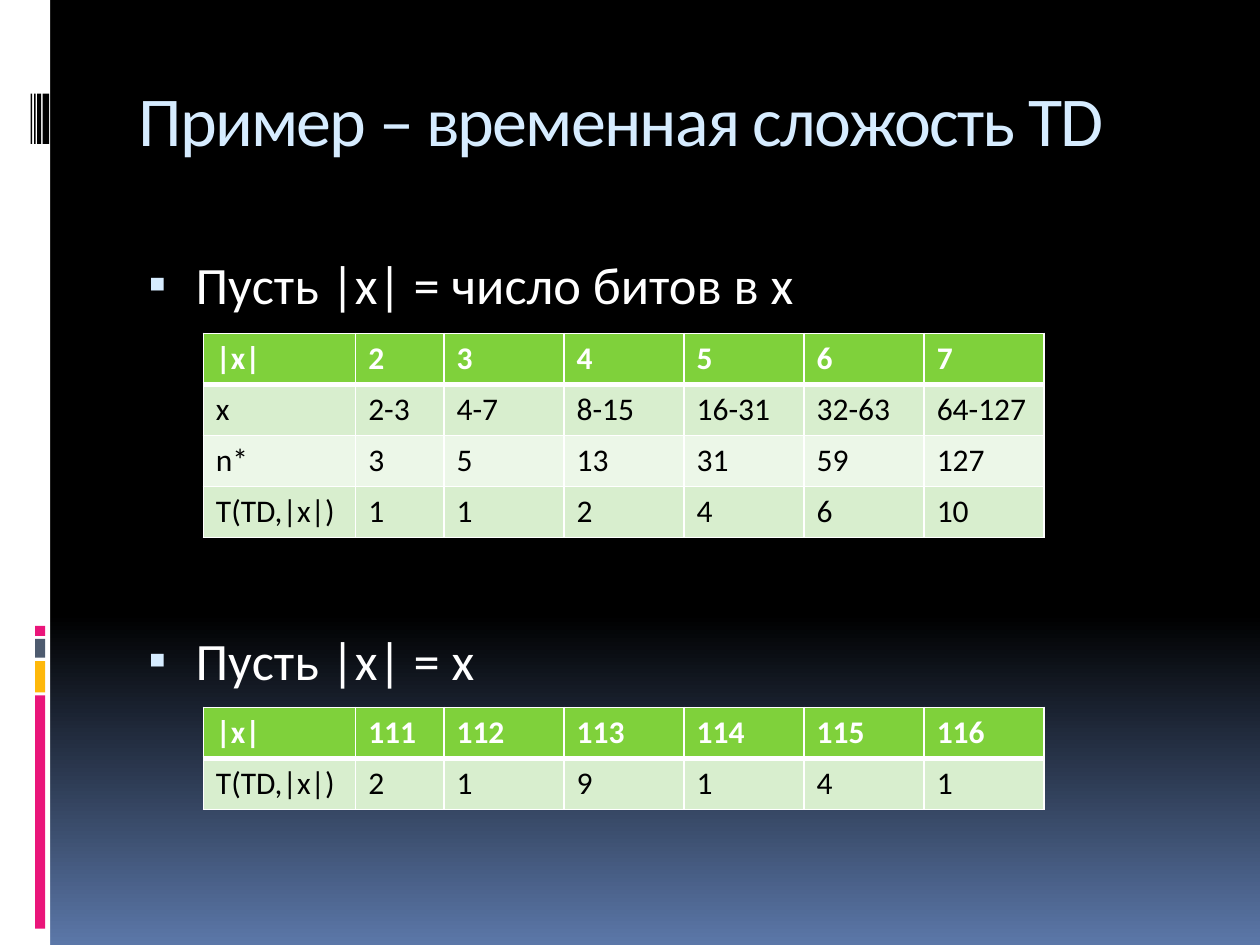
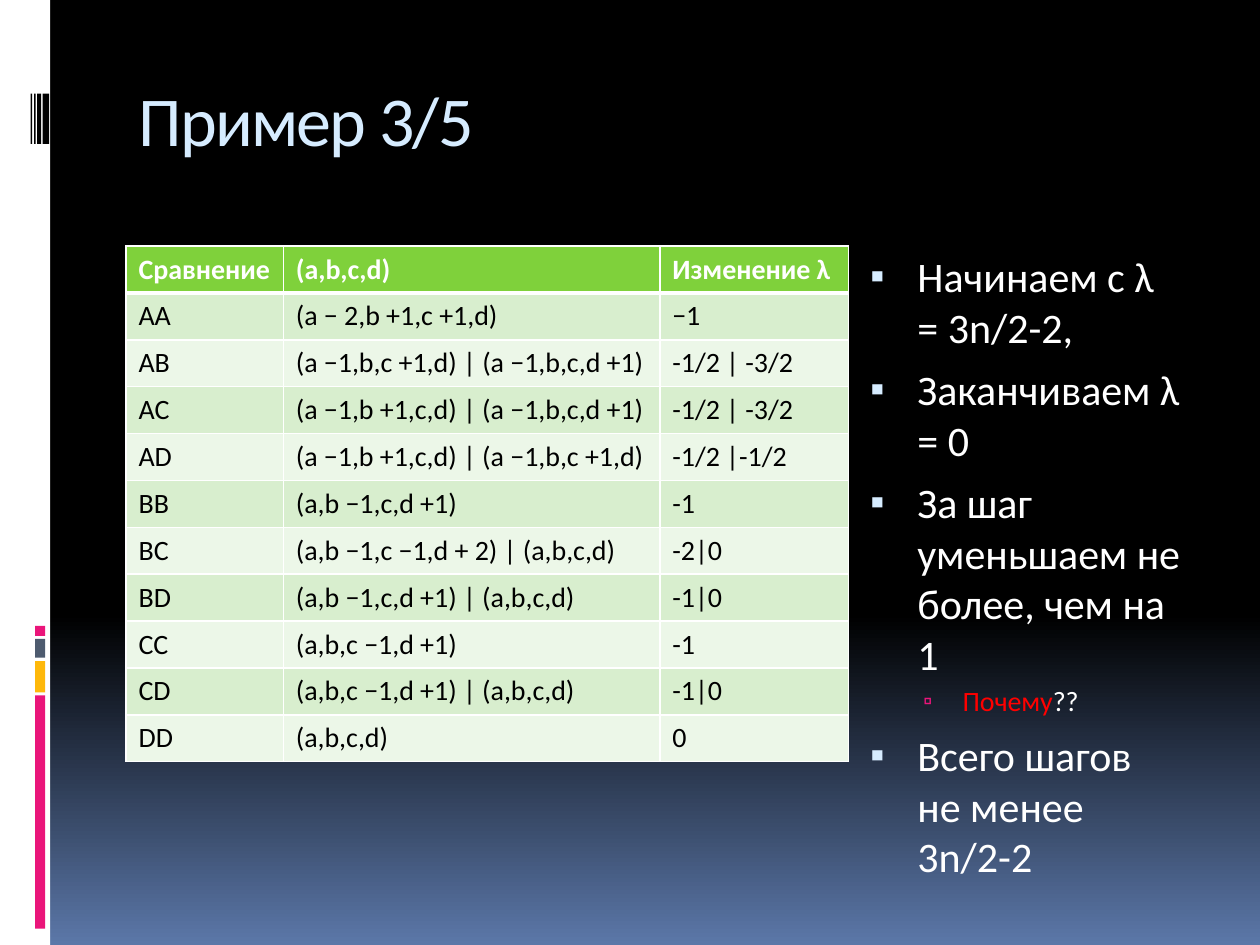
from copy import deepcopy

from lxml import etree
from pptx import Presentation
from pptx.dml.color import RGBColor
from pptx.enum.shapes import MSO_SHAPE
from pptx.enum.text import MSO_ANCHOR, MSO_AUTO_SIZE, PP_ALIGN
from pptx.oxml.ns import qn
from pptx.util import Cm, Pt

RECT = MSO_SHAPE.RECTANGLE
TOP = MSO_ANCHOR.TOP
LEFT = PP_ALIGN.LEFT
NO_FIT = MSO_AUTO_SIZE.NONE


class Theme:
    font = "Calibri"
    black, white, red = "000000", "FFFFFF", "FF0000"
    dusk, sky, pink = "5B77A8", "D6ECFF", "EA157A"
    gold, slate = "FEB80A", "4E5B6F"
    head, bands = "7FD13B", ("D8EECE", "ECF7E8")
    title, large, medium, cell, small = 40, 30, 24, 18, 16
    thin, thick = 1, 3


# Side strip: left, top, width, height in cm, colour
STRIP = [
    (0, 0, 1.01, 19.05, Theme.white),
    (0.71, 14.02, 0.2, 4.7, Theme.pink),
    (0.71, 13.33, 0.2, 0.63, Theme.gold),
    (0.71, 12.88, 0.2, 0.38, Theme.slate),
    (0.71, 12.62, 0.2, 0.2, Theme.pink),
] + [(x, 1.89, w, 1.01, Theme.black)
     for x, w in ((0.86, 0.13), (0.75, 0.08), (0.69, 0.03), (0.62, 0.03))]

# Bullet levels: indent and hang in cm, mark, colour, mark size in %
LEVELS = [
    (1.15, 0.95, "▪", Theme.sky, 95),
    (2.06, 0.79, "▫", Theme.pink, 90),
]

TITLE_BOX = (2.54, 1.42, 21.59, 2.54)
WIDE = [3.07, 1.78] + [2.42] * 5

# A list item: level, space before in pt, size, runs of (text, colour)
SLIDES = [
    {
        "title": ["Пример ", "– ", "временная сложость ", "TD"],
        "box": (2.54, 4.95, 21.59, 12.7),
        "items": [
            (0, 7, Theme.large, [("Пусть |x| = число битов в x", Theme.white)]),
            (0, 179, Theme.large, [("Пусть |x| = x", Theme.white)]),
        ],
        "tables": [
            {"at": (4.1, 6.72), "cols": WIDE, "row": 1.03, "size": Theme.cell,
             "rows": [
                 ["|x|", "2", "3", "4", "5", "6", "7"],
                 ["x", "2-3", "4-7", "8-15", "16-31", "32-63", "64-127"],
                 ["n*", "3", "5", "13", "31", "59", "127"],
                 ["T(TD,|x|)", "1", "1", "2", "4", "6", "10"],
             ]},
            {"at": (4.1, 14.26), "cols": WIDE, "row": 1.03, "size": Theme.cell,
             "rows": [
                 ["|x|", "111", "112", "113", "114", "115", "116"],
                 ["T(TD,|x|)", "2", "1", "9", "1", "4", "1"],
             ]},
        ],
    },
    {
        "title": ["Пример 3/5"],
        "box": (17.09, 4.93, 6.99, 12.7),
        "items": [
            (0, 7, Theme.medium, [("Начинаем с λ = 3n/2-2,", Theme.white)]),
            (0, 7, Theme.medium, [("Заканчиваем λ = 0", Theme.white)]),
            (0, 7, Theme.medium,
             [("За шаг уменьшаем не более, чем на 1", Theme.white)]),
            (1, 3, Theme.small,
             [("Почему", Theme.red), ("??", Theme.white)]),
            (0, 7, Theme.medium,
             [("Всего шагов не менее 3n/2-2", Theme.white)]),
        ],
        "tables": [
            {"at": (2.54, 4.96), "cols": [3.17, 7.59, 3.8], "row": 0.94,
             "size": Theme.small,
             "rows": [
                 ["Сравнение", "(a,b,c,d)", "Изменение λ"],
                 ["АА", "(a − 2,b +1,c +1,d)", "−1"],
                 ["AB", "(a −1,b,c +1,d) | (a −1,b,c,d +1)", "-1/2 | -3/2"],
                 ["AC", "(a −1,b +1,c,d) | (a −1,b,c,d +1)", "-1/2 | -3/2"],
                 ["AD", "(a −1,b +1,c,d) | (a −1,b,c +1,d)", "-1/2 |-1/2"],
                 ["BB", "(a,b −1,c,d +1)", "-1"],
                 ["BC", "(a,b −1,c −1,d + 2) | (a,b,c,d)", "-2|0"],
                 ["BD", "(a,b −1,c,d +1) | (a,b,c,d)", "-1|0"],
                 ["CC", "(a,b,c −1,d +1)", "-1"],
                 ["CD", "(a,b,c −1,d +1) | (a,b,c,d)", "-1|0"],
                 ["DD", "(a,b,c,d)", "0"],
             ]},
        ],
    },
]


def rgb(code):
    return RGBColor.from_string(code)


def sub(node, tag, **attrs):
    return etree.SubElement(node, qn(tag), attrs)


def place(shape, box):
    """Set the box of a text shape and return its frame."""
    shape.left, shape.top, shape.width, shape.height = map(Cm, box)
    frame = shape.text_frame
    frame.vertical_anchor, frame.auto_size = TOP, NO_FIT
    return frame


def add_run(para, text, size, color, bold=False):
    run = para.add_run()
    run.text = text
    font = run.font
    font.name, font.size, font.bold = Theme.font, Pt(size), bold
    font.color.rgb = rgb(color)
    return run


def paint_back(master):
    fill = master.background.fill
    fill.gradient()
    fill.gradient_angle = 270
    stops = master.element.find(".//" + qn("a:gsLst"))
    stops.insert(1, deepcopy(stops[0]))
    marks = ((0, Theme.black), (0.65, Theme.black), (1, Theme.dusk))
    for stop, (pos, color) in zip(fill.gradient_stops, marks):
        stop.position = pos
        stop.color.rgb = rgb(color)


def add_strip(slide, master):
    """Draw the side strip and move it to the master, behind its text."""
    for spot, (*box, color) in enumerate(STRIP, 2):
        bar = slide.shapes.add_shape(RECT, *map(Cm, box))
        bar.shadow.inherit = False
        bar.fill.solid()
        bar.fill.fore_color.rgb = rgb(color)
        bar.line.fill.background()
        master.shapes.element.insert(spot, bar.element)


def set_title(shape, texts):
    para = place(shape, TITLE_BOX).paragraphs[0]
    para.alignment = LEFT
    for text in texts:
        run = add_run(para, text, Theme.title, Theme.sky)
        run._r.get_or_add_rPr().set("spc", "-100")


def set_mark(para, level):
    indent, hang, mark, color, size = LEVELS[level]
    para.level = level
    props = para._p.get_or_add_pPr()
    props.set("marL", str(Cm(indent)))
    props.set("indent", str(-Cm(hang)))
    sub(sub(props, "a:buClr"), "a:srgbClr", val=color)
    sub(props, "a:buSzPct", val=str(size * 1000))
    sub(props, "a:buFont", typeface=Theme.font)
    sub(props, "a:buChar", char=mark)


def set_list(shape, box, items):
    frame = place(shape, box)
    for i, (level, space, size, runs) in enumerate(items):
        para = frame.add_paragraph() if i else frame.paragraphs[0]
        para.space_before = Pt(space)
        set_mark(para, level)
        for text, color in runs:
            add_run(para, text, size, color)


def set_edges(cell, row):
    props = cell._tc.get_or_add_tcPr()
    heavy = {0: "B", 1: "T"}.get(row)
    for spot, side in enumerate("LRTB"):
        width = Theme.thick if side == heavy else Theme.thin
        line = etree.Element(qn("a:ln" + side), w=str(Pt(width)))
        sub(sub(line, "a:solidFill"), "a:srgbClr", val=Theme.white)
        props.insert(spot, line)


def add_grid(slide, at, cols, row, size, rows):
    grid = slide.shapes.add_table(
        len(rows), len(cols), *map(Cm, at),
        Cm(sum(cols)), Cm(row * len(rows))).table
    grid.horz_banding = False
    for col, width in zip(grid.columns, cols):
        col.width = Cm(width)
    for r, texts in enumerate(rows):
        grid.rows[r].height = Cm(row)
        head = r == 0
        for c, text in enumerate(texts):
            cell = grid.cell(r, c)
            cell.fill.solid()
            cell.fill.fore_color.rgb = rgb(
                Theme.head if head else Theme.bands[(r - 1) % 2])
            set_edges(cell, r)
            add_run(cell.text_frame.paragraphs[0], text, size,
                    Theme.white if head else Theme.black, head)


def main():
    deck = Presentation()
    deck.slide_width, deck.slide_height = Cm(25.4), Cm(19.05)
    master = deck.slide_master
    paint_back(master)
    for i, page in enumerate(SLIDES):
        slide = deck.slides.add_slide(deck.slide_layouts[1])
        if i == 0:
            add_strip(slide, master)
        set_title(slide.shapes.title, page["title"])
        set_list(slide.placeholders[1], page["box"], page["items"])
        for table in page["tables"]:
            add_grid(slide, **table)
    deck.save("out.pptx")


if __name__ == "__main__":
    main()
